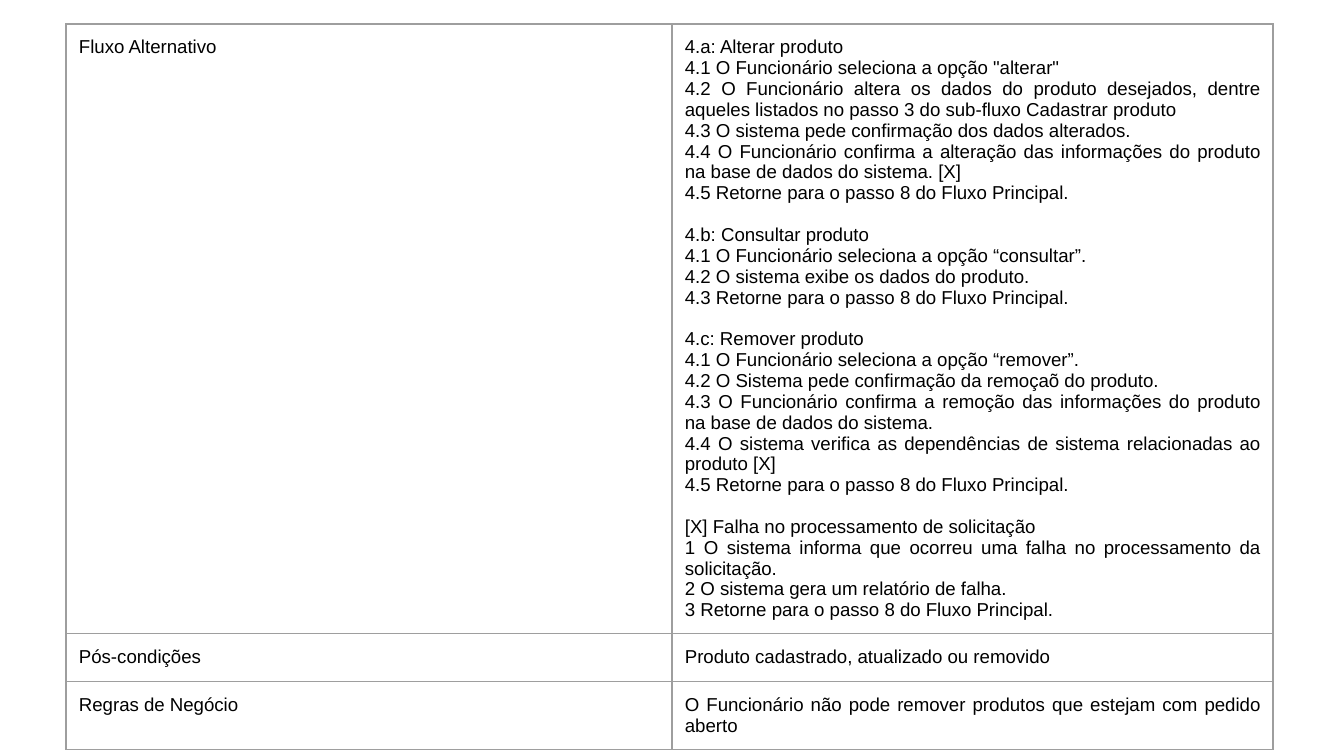
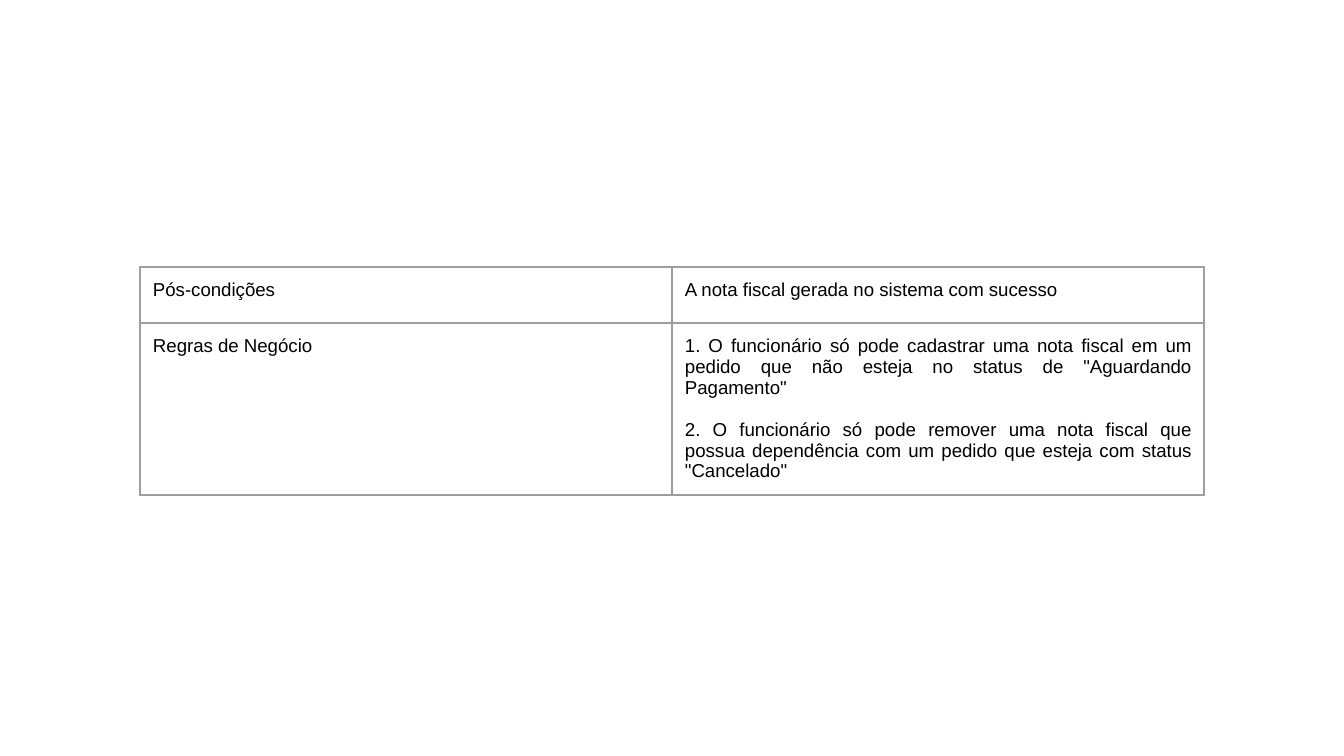
from dataclasses import dataclass

from lxml.etree import SubElement
from pptx import Presentation
from pptx.dml.color import RGBColor
from pptx.enum.text import MSO_ANCHOR, PP_ALIGN
from pptx.oxml.ns import qn
from pptx.util import Emu, Pt

PIXELS_PER_INCH = 134.4
BLANK_LAYOUT = 6


@dataclass(frozen=True)
class Theme:
    font: str = "Arial"
    text_size: float = 10
    text_color: str = "000000"
    border_color: str = "9E9E9E"
    border_width: float = 0.75
    background: str = "FFFFFF"
    cell_margin: int = 13
    group_gap: float = 11.2


THEME = Theme()


def px(pixels):
    return Emu(round(pixels * 914400 / PIXELS_PER_INCH))


def add_borders(cell):
    properties = cell._tc.get_or_add_tcPr()
    for side in ("lnL", "lnR", "lnT", "lnB"):
        line = SubElement(properties, qn(f"a:{side}"), w=str(Pt(THEME.border_width)))
        fill = SubElement(line, qn("a:solidFill"))
        SubElement(fill, qn("a:srgbClr"), val=THEME.border_color)


def format_cell(cell):
    add_borders(cell)
    cell.fill.background()
    cell.vertical_anchor = MSO_ANCHOR.TOP
    margin = px(THEME.cell_margin)
    cell.margin_left = cell.margin_right = margin
    cell.margin_top = cell.margin_bottom = margin


def write_groups(cell, groups, alignment):
    frame = cell.text_frame
    frame.word_wrap = True
    paragraph = None
    for group_index, lines in enumerate(groups):
        for line_index, line in enumerate(lines):
            paragraph = frame.add_paragraph() if paragraph else frame.paragraphs[0]
            paragraph.alignment = alignment
            if group_index and line_index == 0:
                paragraph.space_before = Pt(THEME.group_gap)
            run = paragraph.add_run()
            run.text = line
            run.font.name = THEME.font
            run.font.size = Pt(THEME.text_size)
            run.font.color.rgb = RGBColor.from_string(THEME.text_color)


def add_use_case_table(slide, left, top, column_widths, rows):
    heights = [height for _, height, _ in rows]
    frame = slide.shapes.add_table(
        len(rows), len(column_widths),
        px(left), px(top), px(sum(column_widths)), px(sum(heights)),
    )
    table = frame.table
    table.first_row = table.horz_banding = False
    for column, width in zip(table.columns, column_widths):
        column.width = px(width)
    for row, (label, height, groups) in zip(table.rows, rows):
        row.height = px(height)
        label_cell, detail_cell = row.cells
        write_groups(label_cell, [[label]], PP_ALIGN.LEFT)
        write_groups(detail_cell, groups, PP_ALIGN.JUSTIFY)
        for cell in row.cells:
            format_cell(cell)


def add_use_case_slide(presentation, **table):
    slide = presentation.slides.add_slide(presentation.slide_layouts[BLANK_LAYOUT])
    fill = slide.background.fill
    fill.solid()
    fill.fore_color.rgb = RGBColor.from_string(THEME.background)
    add_use_case_table(slide, **table)


RETURN_TO_MAIN_FLOW = "Retorne para o passo 8 do Fluxo Principal."

ALTERNATIVE_FLOWS = [
    [
        "4.a: Alterar produto",
        '4.1 O Funcionário seleciona a opção "alterar"',
        "4.2 O Funcionário altera os dados do produto desejados, dentre "
        "aqueles listados no passo 3 do sub-fluxo Cadastrar produto",
        "4.3 O sistema pede confirmação dos dados alterados.",
        "4.4 O Funcionário confirma a alteração das informações do produto "
        "na base de dados do sistema. [X]",
        f"4.5 {RETURN_TO_MAIN_FLOW}",
    ],
    [
        "4.b: Consultar produto",
        "4.1 O Funcionário seleciona a opção “consultar”.",
        "4.2 O sistema exibe os dados do produto.",
        f"4.3 {RETURN_TO_MAIN_FLOW}",
    ],
    [
        "4.c: Remover produto",
        "4.1 O Funcionário seleciona a opção “remover”.",
        "4.2 O Sistema pede confirmação da remoçaõ do produto.",
        "4.3 O Funcionário confirma a remoção das informações do produto "
        "na base de dados do sistema.",
        "4.4 O sistema verifica as dependências de sistema relacionadas ao "
        "produto [X]",
        f"4.5 {RETURN_TO_MAIN_FLOW}",
    ],
    [
        "[X] Falha no processamento de solicitação",
        "1 O sistema informa que ocorreu uma falha no processamento da solicitação.",
        "2 O sistema gera um relatório de falha.",
        f"3 {RETURN_TO_MAIN_FLOW}",
    ],
]

PRODUCT_RULES = [
    ["O Funcionário não pode remover produtos que estejam com pedido aberto"],
]

INVOICE_RULES = [
    [
        "1. O funcionário só pode cadastrar uma nota fiscal em um pedido "
        'que não esteja no status de "Aguardando Pagamento"',
    ],
    [
        "2. O funcionário só pode remover uma nota fiscal que possua "
        'dependência com um pedido que esteja com status "Cancelado"',
    ],
]

presentation = Presentation()
presentation.slide_width = px(1344)
presentation.slide_height = px(756)

add_use_case_slide(
    presentation,
    left=66,
    top=24,
    column_widths=[606, 601],
    rows=[
        ("Fluxo Alternativo", 56, ALTERNATIVE_FLOWS),
        ("Pós-condições", 48, [["Produto cadastrado, atualizado ou removido"]]),
        ("Regras de Negócio", 58, PRODUCT_RULES),
    ],
)
add_use_case_slide(
    presentation,
    left=140,
    top=267,
    column_widths=[532, 532],
    rows=[
        ("Pós-condições", 56, [["A nota fiscal gerada no sistema com sucesso"]]),
        ("Regras de Negócio", 56, INVOICE_RULES),
    ],
)

presentation.save("out.pptx")
